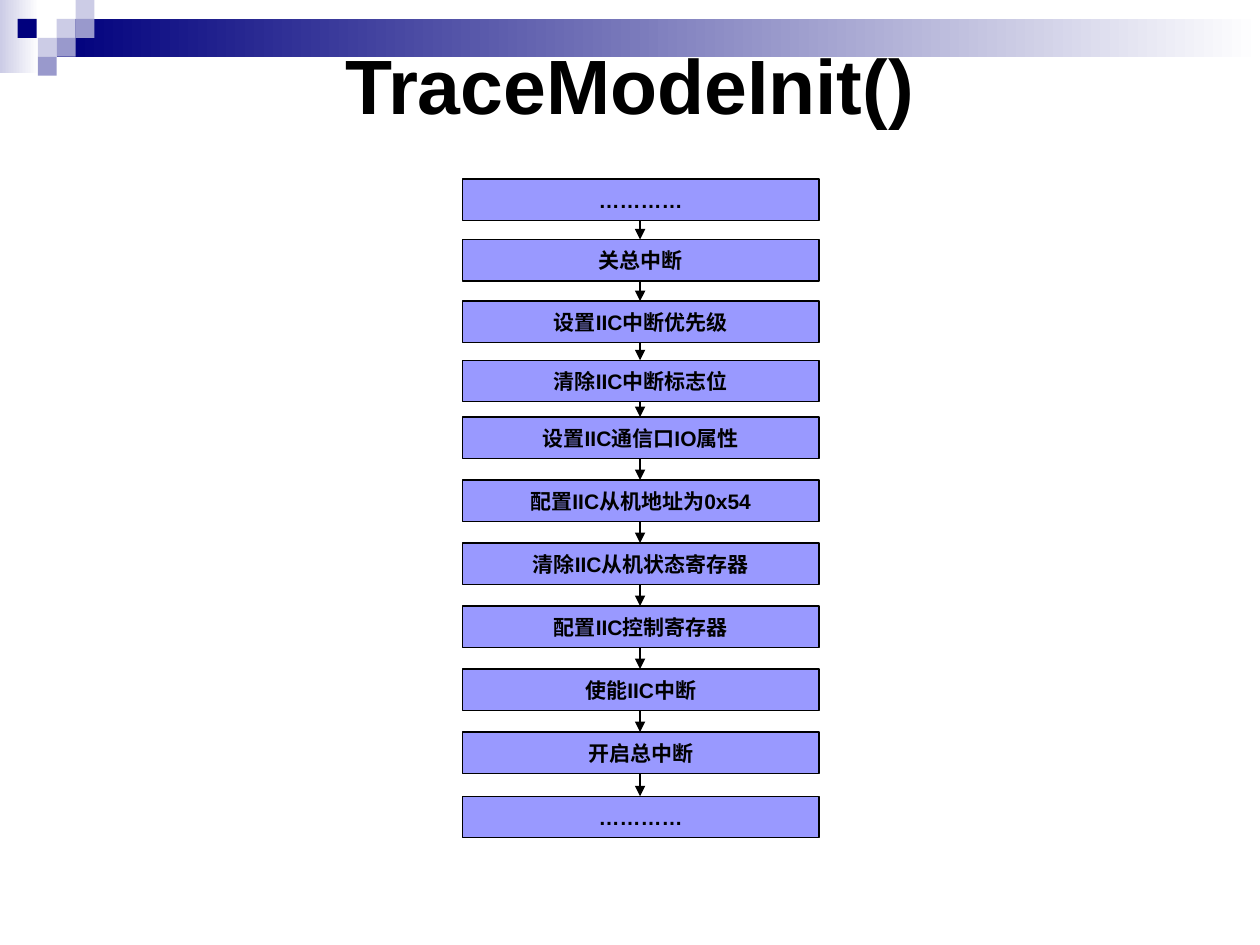
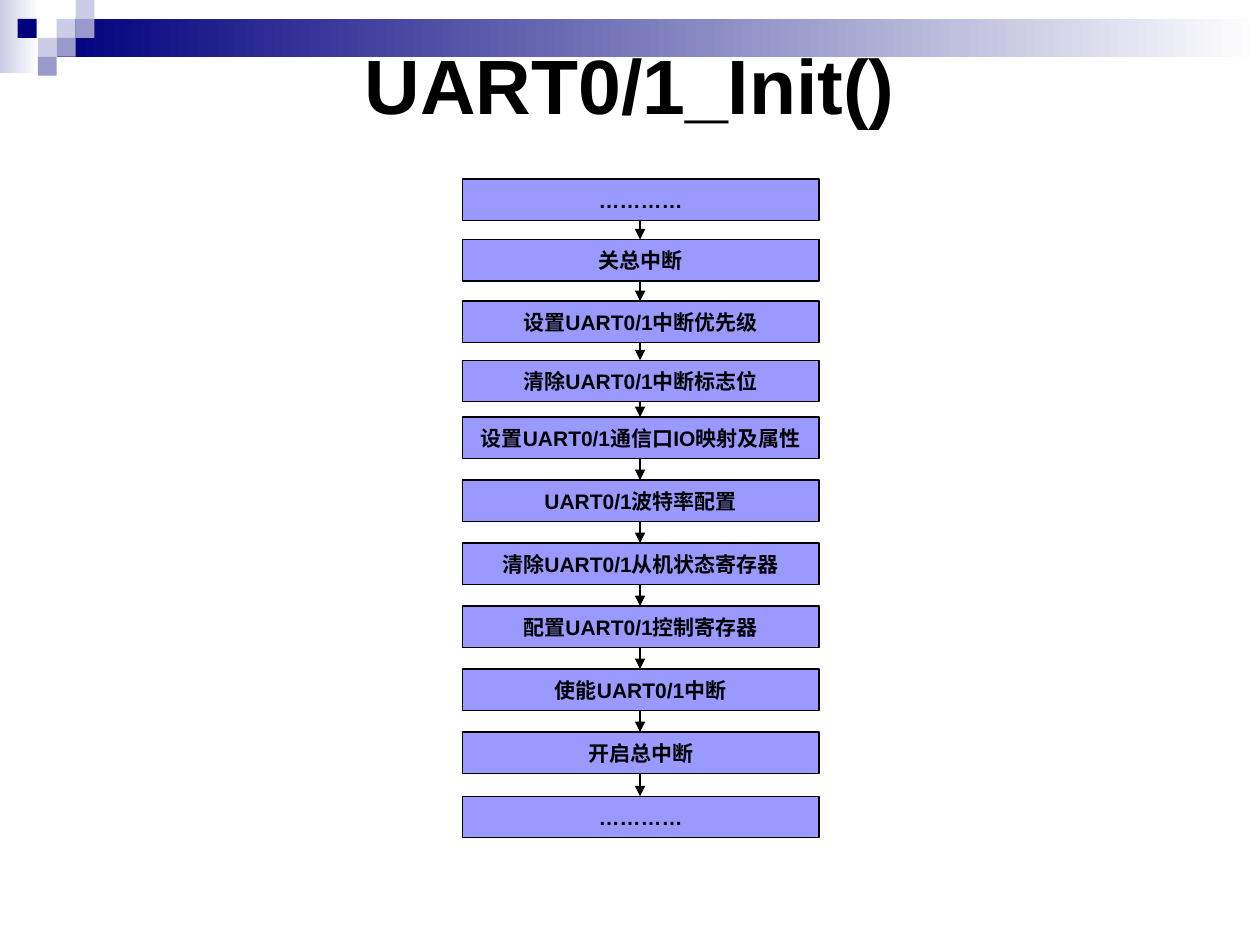
"""Builds two flowchart slides for the interrupt initialisation routines."""
from itertools import pairwise

from lxml.etree import SubElement
from pptx import Presentation
from pptx.dml.color import RGBColor as Rgb
from pptx.enum.shapes import MSO_CONNECTOR as Connector, MSO_SHAPE as Shape
from pptx.enum.text import MSO_ANCHOR as Anchor, MSO_AUTO_SIZE as AutoSize, PP_ALIGN as Align
from pptx.oxml.ns import qn
from pptx.util import Pt

EMU_PER_PX = 9144
TITLE_ONLY = 5
FONT = "Arial"
COLORS = {
    "navy": "00007D",
    "lilac": "CCCCE6",
    "violet": "9999CC",
    "step": "9999FF",
    "black": "000000",
    "white": "FFFFFF",
}

BANDS = [(0, 0, 31, 58, "lilac"), (45, 15, 955, 30, "navy")]
TILE = 15
TILES = [
    (45, 15, "lilac"),
    (60, 0, "lilac"),
    (60, 15, "violet"),
    (30, 30, "lilac"),
    (14, 15, "navy"),
    (45, 30, "violet"),
    (30, 45, "violet"),
]

STEP_LEFT, STEP_WIDTH, STEP_HEIGHT = 367, 283, 33
STEP_TOPS = [142, 190, 239, 286, 331, *range(381, 582, 50), 632]


def px(length):
    return length * EMU_PER_PX


def color(name):
    return Rgb.from_string(COLORS[name])


class SlideBuilder:
    """Holds the deck, its shared style and the current slide."""

    def __init__(self):
        self.deck = Presentation()
        self.deck.slide_width, self.deck.slide_height = px(1000), px(750)
        self.layout = self.deck.slide_layouts[TITLE_ONLY]
        self.page = None

    def decorate_layout(self):
        for holder in list(self.layout.placeholders)[1:]:
            holder.element.getparent().remove(holder.element)
        shapes = [self.band(*band) for band in BANDS]
        shapes += [self.box(x, y, TILE, TILE, fill) for x, y, fill in TILES]
        for shape in shapes:
            self.layout.shapes.element.append(shape.element)

    def start_page(self, title):
        first = self.page is None
        self.page = self.deck.slides.add_slide(self.layout)
        if first:
            self.decorate_layout()
        holder = self.page.shapes.title
        holder.left, holder.top, holder.width, holder.height = map(px, (50, 50, 900, 33))
        holder.text_frame.auto_size = AutoSize.NONE
        self.add_text(holder, title, 44)

    def box(self, left, top, width, height, fill):
        box = self.page.shapes.add_shape(Shape.RECTANGLE, px(left), px(top), px(width), px(height))
        box.shadow.inherit = False
        box.fill.solid()
        box.fill.fore_color.rgb = color(fill)
        box.line.fill.background()
        return box

    def band(self, left, top, width, height, fill):
        band = self.box(left, top, width, height, fill)
        band.fill.gradient()
        band.fill.gradient_angle = 0
        for stop, name in zip(band.fill.gradient_stops, (fill, "white")):
            stop.color.rgb = color(name)
        return band

    def add_text(self, box, text, size):
        frame = box.text_frame
        frame.vertical_anchor = Anchor.MIDDLE
        para = frame.paragraphs[0]
        para.alignment = Align.CENTER
        span = para.add_run()
        span.text = text
        span.font.name, span.font.size, span.font.bold = FONT, Pt(size), True
        span.font.color.rgb = color("black")

    def step(self, top, text):
        box = self.box(STEP_LEFT, top, STEP_WIDTH, STEP_HEIGHT, "step")
        box.line.color.rgb = color("black")
        box.line.width = Pt(0.75)
        box.text_frame.word_wrap = False
        self.add_text(box, text, 12)

    def arrow(self, start, end):
        center = px(STEP_LEFT + STEP_WIDTH // 2)
        arrow = self.page.shapes.add_connector(
            Connector.STRAIGHT, center, px(start), center, px(end))
        arrow.line.color.rgb = color("black")
        arrow.line.width = Pt(0.75)
        properties = arrow.element.spPr
        SubElement(properties.find(qn("a:ln")), qn("a:tailEnd"), type="triangle")
        SubElement(properties, qn("a:effectLst"))

    def flow(self, steps):
        for top, text in zip(STEP_TOPS, steps):
            self.step(top, text)
        for top, next_top in pairwise(STEP_TOPS):
            self.arrow(top + STEP_HEIGHT, next_top)


def init_steps(port, port_setup, port_config):
    return [
        "…………",
        "关总中断",
        f"设置{port}中断优先级",
        f"清除{port}中断标志位",
        f"设置{port}通信口IO{port_setup}",
        port_config,
        f"清除{port}从机状态寄存器",
        f"配置{port}控制寄存器",
        f"使能{port}中断",
        "开启总中断",
        "…………",
    ]


def main():
    builder = SlideBuilder()
    builder.start_page("TraceModeInit()")
    builder.flow(init_steps("IIC", "属性", "配置IIC从机地址为0x54"))
    builder.start_page("UART0/1_Init()")
    builder.flow(init_steps("UART0/1", "映射及属性", "UART0/1波特率配置"))
    builder.deck.save("out.pptx")


if __name__ == "__main__":
    main()
